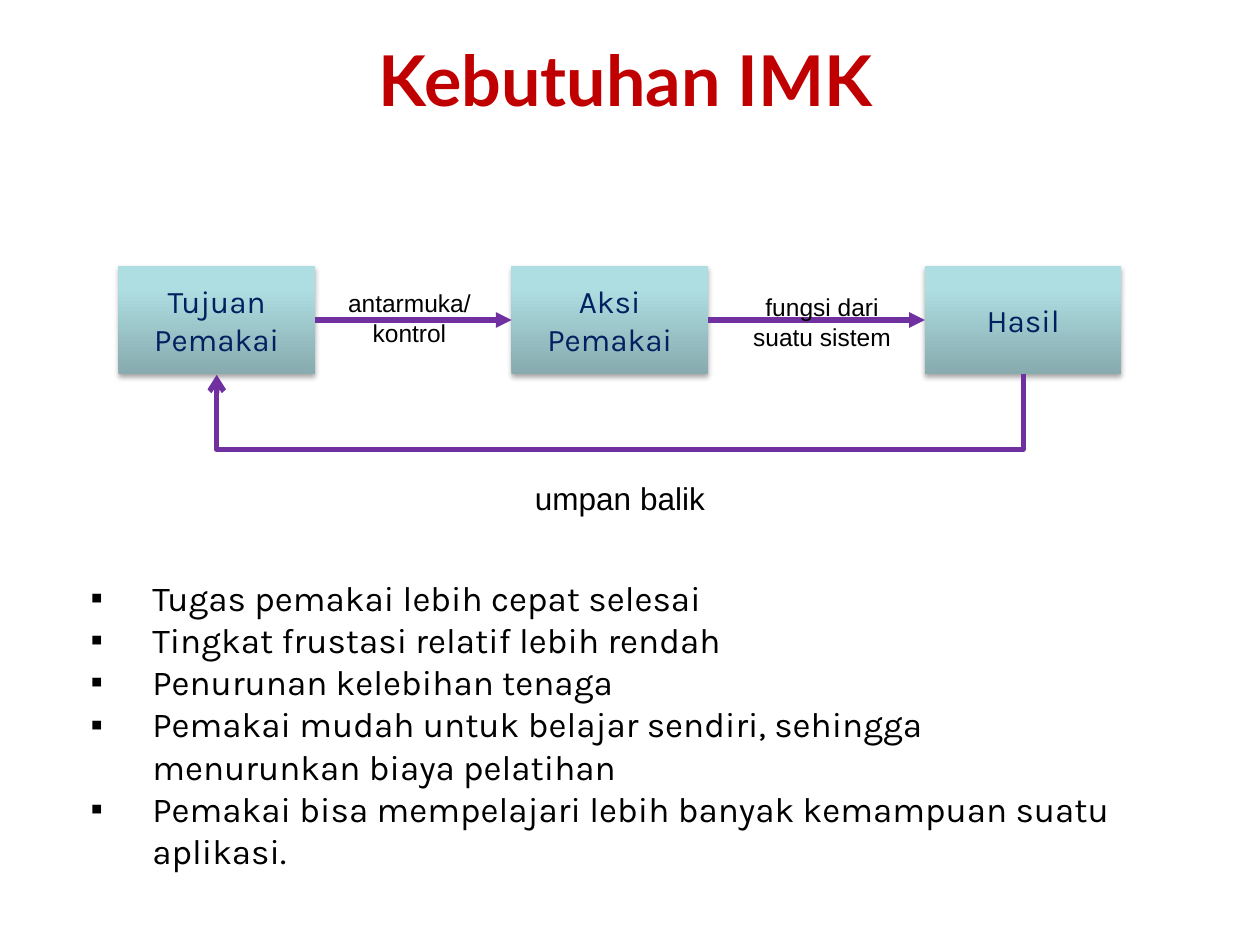
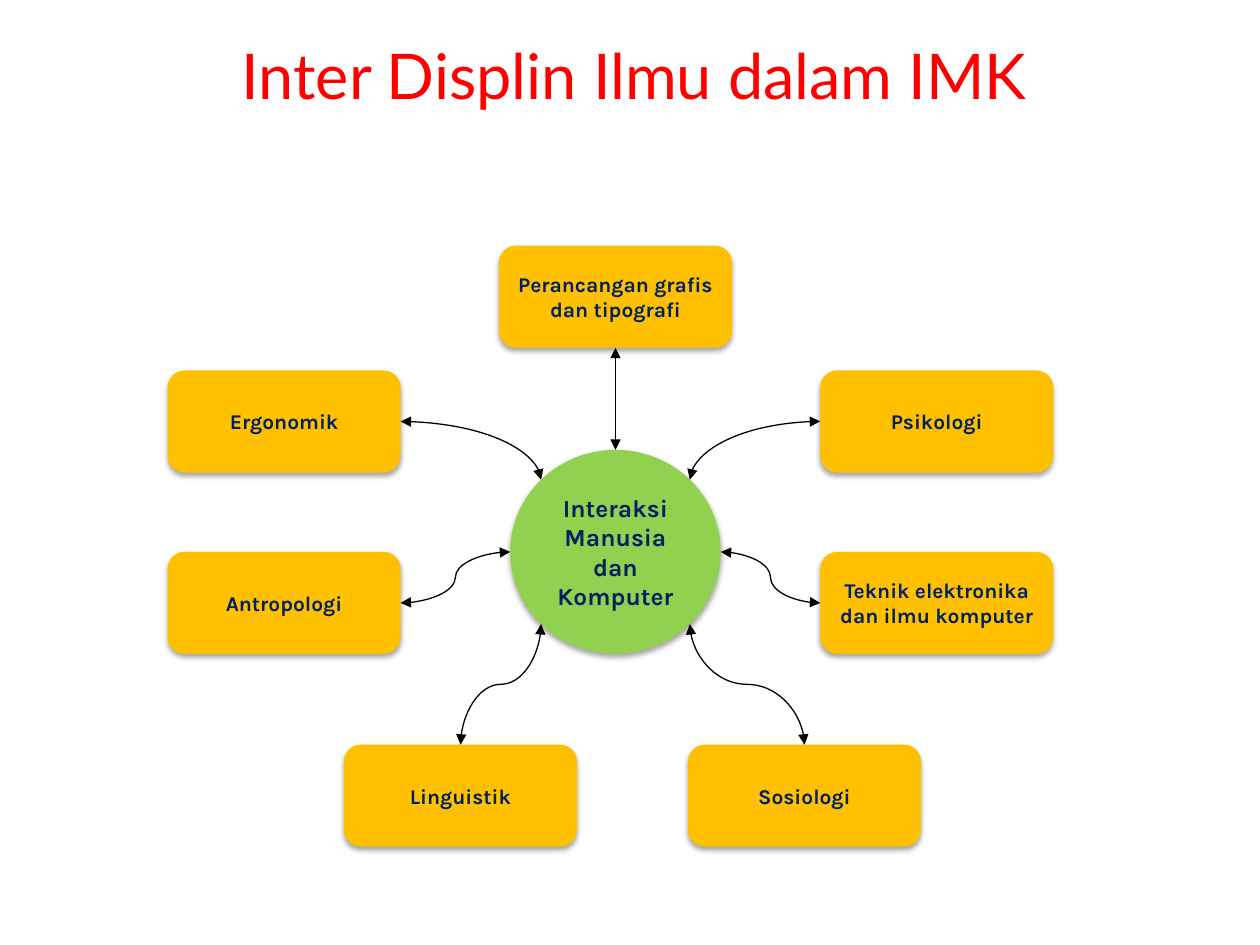
from dataclasses import dataclass
from math import cos, radians, sin

from lxml.etree import SubElement
from pptx import Presentation
from pptx.dml.color import RGBColor
from pptx.enum.shapes import MSO_CONNECTOR as Line, MSO_SHAPE as Preset
from pptx.enum.text import MSO_ANCHOR as Anchor, MSO_AUTO_SIZE as AutoSize, PP_ALIGN as Align
from pptx.oxml.ns import qn
from pptx.shapes.autoshape import Shape
from pptx.shapes.connector import Connector
from pptx.slide import Slide
from pptx.util import Pt

PX = 9144  # EMU in one px, 100 px to the inch
COLORS = {
    "title": "C00000", "title_alt": "FF0000", "text": "000000", "navy": "002060",
    "arrow": "7030A0", "hub": "92D050", "field": "FFC000",
    "teal_dark": "87ABAE", "teal": "AFDEE2", "teal_light": "AFE0E4",
}
TEAL_STOPS = ((0, "teal_dark"), (80, "teal"), (100, "teal_light"))
HEADING, BODY, LABEL = "Lato", "Karla", "Arial"


@dataclass(frozen=True)
class Box:
    text: str
    left: int
    top: int
    width: int
    height: int


@dataclass(frozen=True)
class Node:
    """Look of a filled shape; sites count its connection points."""
    preset: Preset
    fill: str | None
    size: int
    bold: bool = True
    sites: int = 4


@dataclass(frozen=True)
class Link:
    """Route from a hub site to a field box site."""
    field: Box
    hub_site: int
    field_site: int
    vertical: bool = True
    preset: str = "curvedConnector3"


STEP = Node(Preset.RECTANGLE, None, 18, bold=False)
HUB = Node(Preset.OVAL, "hub", 14, sites=8)
FIELD = Node(Preset.ROUNDED_RECTANGLE, "field", 12)
TOP, LEFT, BOTTOM, RIGHT = range(4)


def rgb(name: str) -> RGBColor:
    return RGBColor.from_string(COLORS[name])


def write(shape: Shape, text: str, *, size: int, font: str, color: str = "text",
          bold: bool = False, align: Align = Align.CENTER, bullet: str = "",
          indent: int = 0) -> None:
    frame = shape.text_frame
    for number, words in enumerate(text.split("\n")):
        paragraph = frame.add_paragraph() if number else frame.paragraphs[0]
        paragraph.alignment = align
        run = paragraph.add_run()
        run.text = words
        run.font.size, run.font.name, run.font.bold = Pt(size), font, bold
        run.font.color.rgb = rgb(color)
        if bullet:
            properties = paragraph._p.get_or_add_pPr()
            properties.set("marL", str(indent * PX))
            properties.set("indent", str(-indent * PX))
            SubElement(properties, qn("a:buFont"), typeface=LABEL)
            SubElement(properties, qn("a:buChar"), char=bullet)


def add_text(slide: Slide, box: Box, *, wrap: bool = False, **text_format) -> None:
    shape = slide.shapes.add_textbox(
        box.left * PX, box.top * PX, box.width * PX, box.height * PX)
    shape.text_frame.word_wrap = wrap
    shape.text_frame.auto_size = AutoSize.SHAPE_TO_FIT_TEXT
    write(shape, box.text, **text_format)


def fill_teal(shape: Shape) -> None:
    shape.fill.gradient()
    shape.fill.gradient_angle = 90
    stops = shape.element.spPr.find(qn("a:gradFill")).find(qn("a:gsLst"))
    for stop in list(stops):
        stops.remove(stop)
    for position, name in TEAL_STOPS:
        stop = SubElement(stops, qn("a:gs"), pos=str(position * 1000))
        SubElement(stop, qn("a:srgbClr"), val=COLORS[name])


def add_node(slide: Slide, box: Box, node: Node) -> Shape:
    shape = slide.shapes.add_shape(
        node.preset, box.left * PX, box.top * PX, box.width * PX, box.height * PX)
    if node.fill:
        shape.fill.solid()
        shape.fill.fore_color.rgb = rgb(node.fill)
    else:
        fill_teal(shape)
    shape.line.fill.background()
    # Soft shadow below the shape
    shape.shadow.inherit = False
    effects = shape.element.spPr.find(qn("a:effectLst"))
    shadow = SubElement(effects, qn("a:outerShdw"), blurRad="39370", dist="22860",
                        dir="5400000", rotWithShape="0")
    tint = SubElement(shadow, qn("a:srgbClr"), val=COLORS["text"])
    SubElement(tint, qn("a:alpha"), val="35000")
    shape.text_frame.word_wrap = True
    shape.text_frame.vertical_anchor = Anchor.MIDDLE
    write(shape, box.text, size=node.size, font=BODY, color="navy", bold=node.bold)
    return shape


def site_point(shape: Shape, node: Node, site: int) -> tuple[float, float]:
    """Sites run counter-clockwise from the top."""
    angle = radians(90 + 360 / node.sites * site)
    return (shape.left + shape.width * (1 + cos(angle)) / 2,
            shape.top + shape.height * (1 - sin(angle)) / 2)


def connect(slide: Slide, start: tuple[Shape, Node, int], end: tuple[Shape, Node, int],
            *, kind: Line, color: str, width: float, head: str = "", tail: str = "triangle",
            vertical: bool = False, preset: str = "", drop: int = 0) -> Connector:
    (start_x, start_y), (end_x, end_y) = site_point(*start), site_point(*end)
    across, down = round(end_x - start_x), round(end_y - start_y)
    # A route that leaves vertically is a horizontal one turned by 90 degrees
    along, aside = (down, -across) if vertical else (across, down)
    length, depth = abs(along), abs(aside)
    if drop:
        length = max(length, PX)
    connector = slide.shapes.add_connector(kind, 0, 0, 0, 0)
    connector.left = round((start_x + end_x - length) / 2)
    connector.top = round((start_y + end_y - depth) / 2)
    connector.width, connector.height = length, depth
    properties = connector.element.spPr
    transform = properties.find(qn("a:xfrm"))
    if vertical:
        transform.set("rot", "5400000")
    for name, flipped in (("flipH", along < 0), ("flipV", aside < 0)):
        if flipped:
            transform.set(name, "1")

    geometry = properties.find(qn("a:prstGeom"))
    if preset:
        geometry.set("prst", preset)
    if drop:
        bend = round(drop * PX / length * 100000)
        SubElement(geometry.find(qn("a:avLst")), qn("a:gd"), name="adj1", fmla=f"val {bend}")

    # Glue both ends to the shapes
    glue = connector.element.find(qn("p:nvCxnSpPr")).find(qn("p:cNvCxnSpPr"))
    for tag, (shape, _, site) in (("a:stCxn", start), ("a:endCxn", end)):
        SubElement(glue, qn(tag), id=str(shape.shape_id), idx=str(site))

    connector.line.color.rgb = rgb(color)
    connector.line.width = Pt(width)
    outline = properties.find(qn("a:ln"))
    for tag, arrow in (("a:headEnd", head), ("a:tailEnd", tail)):
        if arrow:
            SubElement(outline, qn(tag), type=arrow)
    SubElement(properties, qn("a:effectLst"))
    return connector


def build_needs(slide: Slide) -> None:
    add_text(slide, Box("Kebutuhan IMK", 289, 24, 415, 77),
             size=40, font=HEADING, color="title", bold=True)

    # Flow from goal to result
    steps = [add_node(slide, Box(text, left, 211, 156, 86), STEP) for text, left in
             (("Tujuan Pemakai", 94), ("Aksi Pemakai", 406), ("Hasil", 734))]
    for before, after in zip(steps, steps[1:]):
        connect(slide, (before, STEP, RIGHT), (after, STEP, LEFT),
                kind=Line.STRAIGHT, color="arrow", width=3)
    connect(slide, (steps[-1], STEP, BOTTOM), (steps[0], STEP, BOTTOM), kind=Line.ELBOW,
            color="arrow", width=3, tail="arrow", vertical=True, drop=61)

    # Arrow labels
    for label, size in ((Box("antarmuka/\nkontrol", 266, 224, 118, 57), 14),
                        (Box("fungsi dari\nsuatu sistem", 586, 227, 133, 57), 14),
                        (Box("umpan balik", 414, 375, 156, 40), 18)):
        add_text(slide, label, size=size, font=LABEL)

    # Benefits
    benefits = (
        "Tugas pemakai lebih cepat selesai",
        "Tingkat frustasi relatif lebih rendah",
        "Penurunan kelebihan tenaga",
        "Pemakai mudah untuk belajar sendiri, sehingga menurunkan biaya pelatihan",
        "Pemakai bisa mempelajari lebih banyak kemampuan suatu aplikasi.",
    )
    add_text(slide, Box("\n".join(benefits), 62, 453, 852, 246), wrap=True,
             size=20, font=BODY, align=Align.LEFT, bullet="▪", indent=49)


def field_box(text: str, left: int, top: int) -> Box:
    return Box(text, left, top, 185, 81)


def build_disciplines(slide: Slide) -> None:
    hub = add_node(slide, Box("Interaksi Manusia dan Komputer", 405, 357, 167, 162), HUB)

    # Fields around the hub, counter-clockwise from the top
    links = (
        Link(field_box("Perancangan grafis dan tipografi", 396, 195), 0, BOTTOM),
        Link(field_box("Ergonomik", 133, 294), 1, RIGHT, preset="curvedConnector2"),
        Link(field_box("Antropologi", 133, 438), 2, RIGHT, vertical=False),
        Link(field_box("Linguistik", 273, 591), 3, TOP),
        Link(field_box("Sosiologi", 546, 591), 5, TOP),
        Link(field_box("Teknik elektronika dan ilmu komputer", 651, 438), 6, LEFT,
             vertical=False),
        Link(field_box("Psikologi", 651, 294), 7, LEFT, preset="curvedConnector2"),
    )
    for link in links:
        field = add_node(slide, link.field, FIELD)
        connect(slide, (hub, HUB, link.hub_site), (field, FIELD, link.field_site),
                kind=Line.CURVE, color="text", width=0.75, head="triangle",
                vertical=link.vertical, preset=link.preset)

    add_text(slide, Box("Inter Displin Ilmu dalam IMK", 148, 24, 711, 71), wrap=True,
             size=36, font=HEADING, color="title_alt")


def main() -> None:
    presentation = Presentation()
    presentation.slide_width, presentation.slide_height = 1000 * PX, 750 * PX
    for build in (build_needs, build_disciplines):
        build(presentation.slides.add_slide(presentation.slide_layouts[6]))
    presentation.save("out.pptx")


if __name__ == "__main__":
    main()
